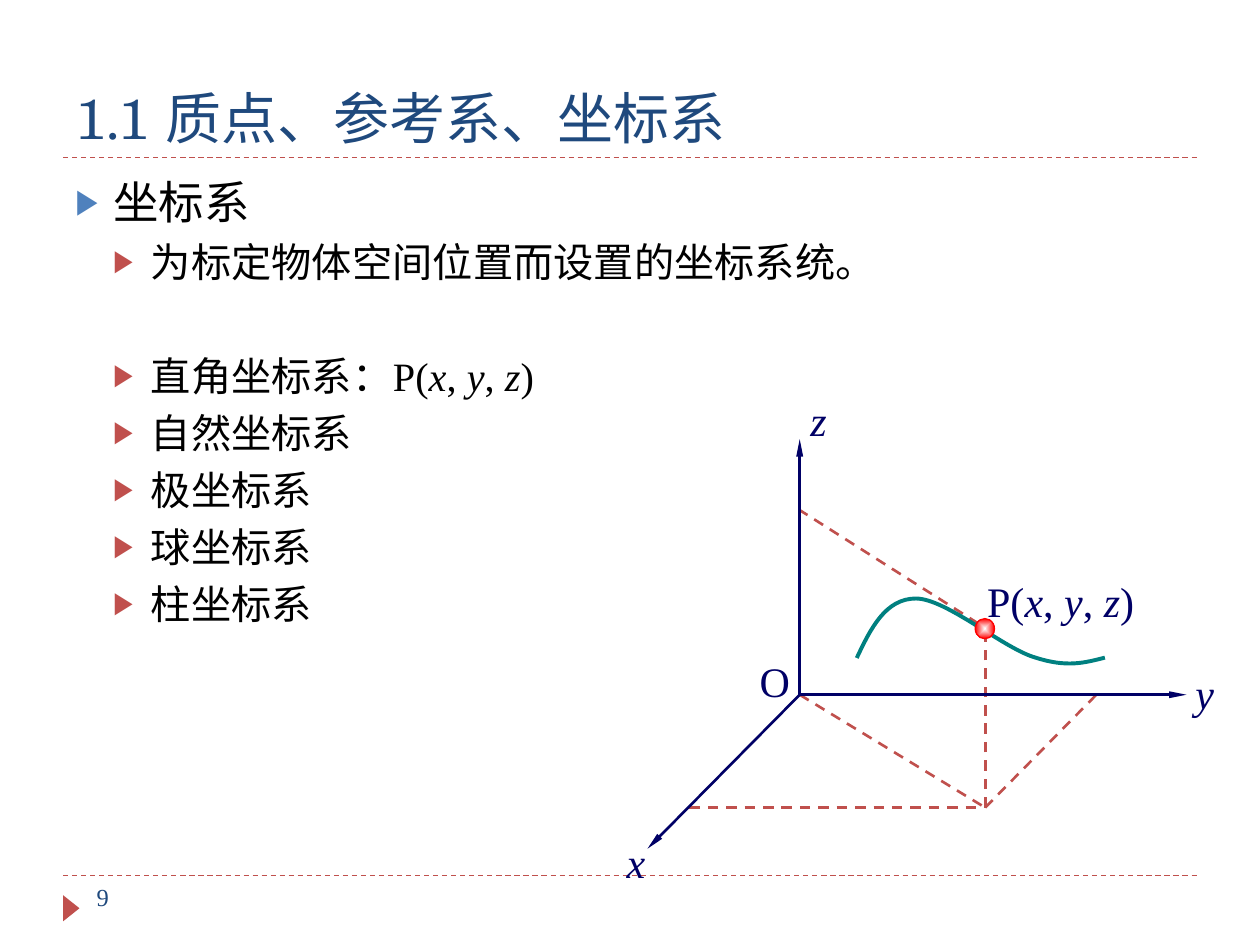
from dataclasses import dataclass

from lxml.etree import SubElement
from pptx import Presentation
from pptx.dml.color import RGBColor as RGB
from pptx.enum.dml import MSO_LINE_DASH_STYLE as Dash
from pptx.enum.shapes import MSO_CONNECTOR_TYPE as Connector, MSO_SHAPE as Shape
from pptx.enum.text import MSO_ANCHOR as Anchor, PP_ALIGN as Align
from pptx.oxml.ns import qn
from pptx.util import Pt


@dataclass(frozen=True)
class Theme:
    heading: RGB = RGB(0x1F, 0x49, 0x7D)
    accent: RGB = RGB(0xC0, 0x50, 0x4D)
    top_bullet: RGB = RGB(0x4F, 0x81, 0xBD)
    text: RGB = RGB(0, 0, 0)
    axis: RGB = RGB(0, 0, 0x66)
    curve: RGB = RGB(0, 0x80, 0x80)
    point: RGB = RGB(0xFF, 0, 0)
    glow: RGB = RGB(0xFF, 0xFF, 0xFF)
    title_font: str = "TeX Gyre Schola"
    body_font: str = "Times New Roman"
    title_size: int = 32
    topic_size: int = 26
    item_size: int = 23
    label_size: int = 24
    number_size: int = 14


THEME = Theme()
COORDINATES = ("P(", "x", ", ", "y", ", ", "z", ")")
VARIABLES = ("x", "y", "z")


def place(shape, left, top, width, height):
    shape.left, shape.top = Pt(left), Pt(top)
    shape.width, shape.height = Pt(width), Pt(height)


def style(font, name, size, color):
    font.name, font.size, font.color.rgb = name, Pt(size), color


def write(paragraph, parts, size, color):
    """Set the parts as runs, with the coordinate variables in italics."""
    for part in parts:
        run = paragraph.add_run()
        run.text = part
        style(run.font, THEME.body_font, size, color)
        run.font.italic = part in VARIABLES


def add_text_box(shapes, box, wrap=True):
    text_box = shapes.add_textbox(*map(Pt, box))
    text_box.text_frame.word_wrap = wrap
    return text_box.text_frame


def add_line(shapes, start, end, color, width, dashed=False, arrow=False):
    line = shapes.add_connector(Connector.STRAIGHT, *map(Pt, (*start, *end)))
    line.line.color.rgb, line.line.width = color, Pt(width)
    if dashed:
        line.line.dash_style = Dash.DASH
    if arrow:
        SubElement(line.line._get_or_add_ln(), qn("a:tailEnd"),
                   type="triangle", w="sm", len="lg")
    SubElement(line._element.spPr, qn("a:effectLst"))


def add_title(slide, box):
    left, top, width, height = box
    title = slide.shapes.title
    place(title, *box)
    frame = title.text_frame
    frame.text = "1.1 质点、参考系、坐标系"
    frame.vertical_anchor = Anchor.BOTTOM
    frame.paragraphs[0].alignment = Align.LEFT
    style(frame.paragraphs[0].runs[0].font, THEME.title_font, THEME.title_size, THEME.heading)
    bottom = top + height
    add_line(slide.shapes, (left, bottom), (left + width, bottom), THEME.accent, 0.75, dashed=True)


def add_footer(slide, box):
    left, top, width, height = box
    add_line(slide.shapes, (left, top), (left + width, top), THEME.accent, 0.75, dashed=True)
    marker = slide.shapes.add_shape(Shape.ISOSCELES_TRIANGLE, 0, 0, 0, 0)
    place(marker, left - 2.8, top + 13.9, 15, 9.4)
    marker.rotation = 90
    marker.shadow.inherit = False
    marker.fill.solid()
    marker.fill.fore_color.rgb = THEME.accent
    marker.line.fill.background()
    number = add_text_box(slide.shapes, (left + 12.2, top, 156, height))
    write(number.paragraphs[0], ["9"], THEME.number_size, THEME.heading)


def add_bullet(paragraph, level, color):
    properties = paragraph._p.get_or_add_pPr()
    properties.set("marL", str(Pt(21.6 * (level + 1))))
    properties.set("indent", str(-Pt(21.6)))
    bullet_color = SubElement(properties, qn("a:buClr"))
    SubElement(bullet_color, qn("a:srgbClr"), val=str(color))
    SubElement(properties, qn("a:buSzPct"), val="76000")
    SubElement(properties, qn("a:buFont"), typeface="Arial")
    SubElement(properties, qn("a:buChar"), char="▶")


def add_outline(slide, box):
    frame = add_text_box(slide.shapes, box)
    topic = frame.paragraphs[0]
    add_bullet(topic, 0, THEME.top_bullet)
    write(topic, ["坐标系"], THEME.topic_size, THEME.text)
    definition_gap, item_gap, section_gap = 5, 5, 37.6
    items = [
        (["为标定物体空间位置而设置的坐标系统。"], definition_gap),
        (["直角坐标系：" + COORDINATES[0], *COORDINATES[1:]], section_gap),
        (["自然坐标系"], item_gap),
        (["极坐标系"], item_gap),
        (["球坐标系"], item_gap),
        (["柱坐标系"], item_gap),
    ]
    for parts, gap in items:
        item = frame.add_paragraph()
        item.level = 1
        item.space_before = Pt(gap)
        add_bullet(item, 1, THEME.accent)
        write(item, parts, THEME.item_size, THEME.text)


def add_curve(shapes, points):
    """Draw a cubic curve: a start, then two controls and an end per piece."""
    start, *rest = [(Pt(x), Pt(y)) for x, y in points]
    builder = shapes.build_freeform(*start)
    builder.add_line_segments(rest, close=False)
    curve = builder.convert_to_shape()
    segments = list(curve._element.iter(qn("a:lnTo")))
    outline = segments[0].getparent()
    for first in range(0, len(segments), 3):
        bezier = SubElement(outline, qn("a:cubicBezTo"))
        for segment in segments[first:first + 3]:
            bezier.append(segment[0])
            outline.remove(segment)
    curve.shadow.inherit = False
    curve.fill.background()
    curve.line.color.rgb, curve.line.width = THEME.curve, Pt(2.25)


def add_point(shapes, box):
    point = shapes.add_shape(Shape.OVAL, *map(Pt, box))
    point.shadow.inherit = False
    point.line.color.rgb, point.line.width = THEME.point, Pt(0.75)
    point.fill.gradient()
    for stop, color in zip(point.fill.gradient_stops, (THEME.glow, THEME.point)):
        stop.color.rgb = color
    gradient = point._element.spPr.find(qn("a:gradFill"))
    gradient.remove(gradient.find(qn("a:lin")))
    radial = SubElement(gradient, qn("a:path"), path="shape")
    SubElement(radial, qn("a:fillToRect"), l="50000", t="50000", r="50000", b="50000")


def add_axes_diagram(slide, box):
    left, top = box[:2]
    shapes = slide.shapes.add_group_shape().shapes

    def at(x, y):
        return left + x, top + y

    origin, foot = at(106, 175), at(212, 239.5)
    projections = [
        (at(43, 239.5), at(208.5, 239.5)),
        (foot, at(275.5, 175)),
        (foot, at(212, 142.5)),
        (origin, foot),
        (at(217, 140), at(106, 69.5)),
    ]
    for start, end in projections:
        add_line(shapes, start, end, THEME.accent, 1.5, dashed=True)
    for tip in (at(327, 175), at(106, 29), at(19, 263)):
        add_line(shapes, origin, tip, THEME.axis, 1.5, arrow=True)

    labels = [
        (COORDINATES, 206, 103.5, 121),
        ("z", 105, 0, 24),
        ("y", 325, 156, 25),
        ("x", 0, 252.5, 25),
        ("O", 76, 149, 32),
    ]
    for parts, x, y, width in labels:
        label = add_text_box(shapes, (*at(x, y), width, 36), wrap=parts is COORDINATES)
        write(label.paragraphs[0], parts, THEME.label_size, THEME.axis)

    add_curve(shapes, [at(x, y) for x, y in (
        (138.6, 154), (146.5, 137.3), (155, 120), (172.4, 120), (189.7, 120),
        (222.8, 148.8), (240.8, 153.8), (258.8, 159.6), (269, 156.7), (280.4, 153.8))])
    add_point(shapes, (*at(206.3, 131.5), 11, 11.5))


def main():
    presentation = Presentation()
    presentation.slide_width, presentation.slide_height = Pt(720), Pt(540)
    slide = presentation.slides.add_slide(presentation.slide_layouts[5])
    add_title(slide, (36, 12.2, 648, 77.8))
    add_footer(slide, (36, 500.4, 648, 28.8))
    add_outline(slide, (36, 95.8, 648, 388.8))
    add_axes_diagram(slide, (351, 222, 350, 289))
    presentation.save("out.pptx")


if __name__ == "__main__":
    main()
